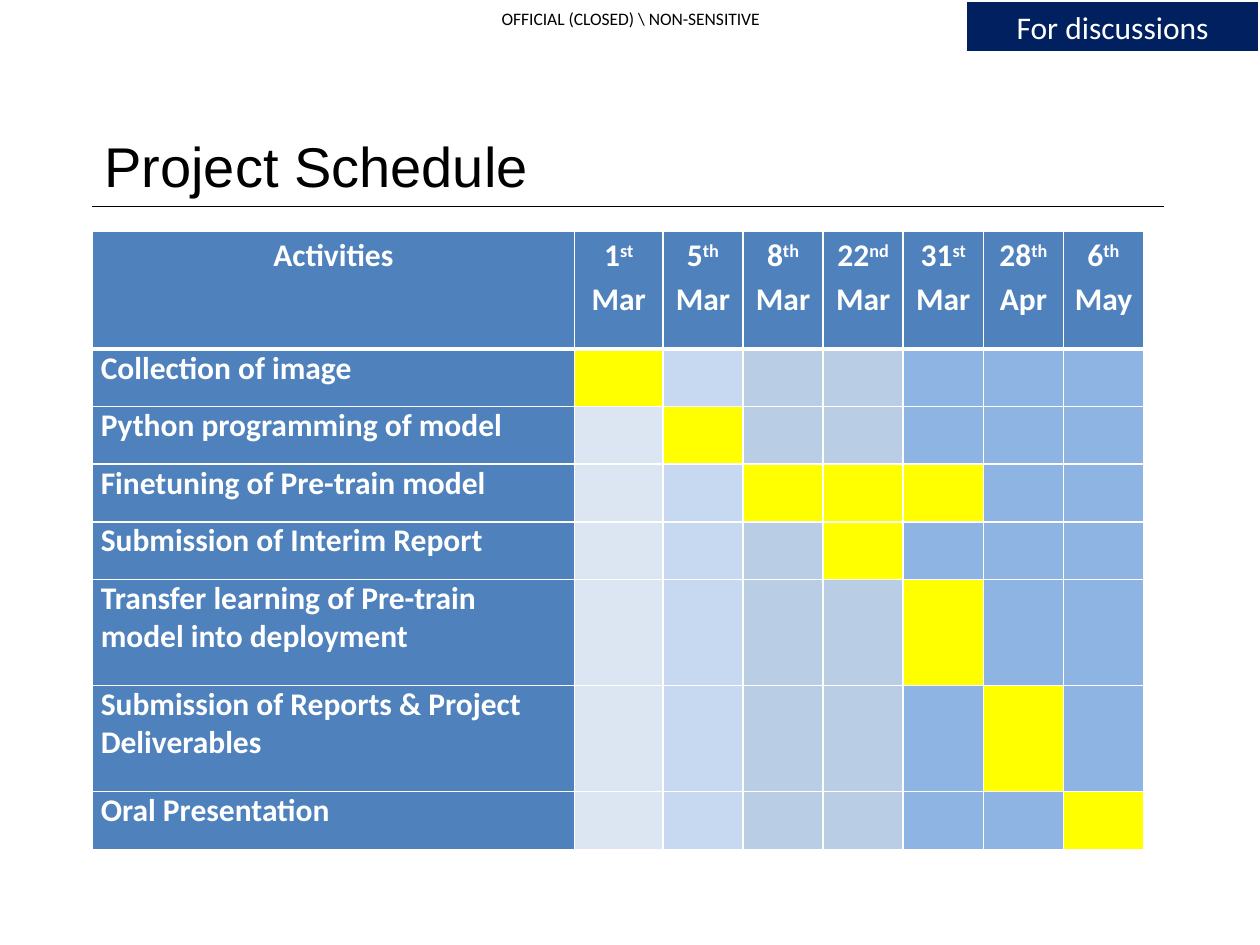
from lxml import etree
from pptx import Presentation
from pptx.dml.color import RGBColor
from pptx.enum.shapes import MSO_CONNECTOR, MSO_SHAPE
from pptx.enum.text import MSO_ANCHOR, PP_ALIGN
from pptx.oxml import parse_xml
from pptx.oxml.ns import nsdecls, qn
from pptx.util import Pt

COLORS = {
    "black": "000000", "white": "FFFFFF", "navy": "002060",
    "header": "4F81BD", "done": "FFFF00",
    "ice": "DCE6F2", "sky": "C6D9F1", "mist": "B9CDE5", "steel": "8EB4E3",
}
DATES = [("1", "st", "Mar"), ("5", "th", "Mar"), ("8", "th", "Mar"),
         ("22", "nd", "Mar"), ("31", "st", "Mar"), ("28", "th", "Apr"),
         ("6", "th", "May")]
DATE_COLORS = ["ice", "sky", "mist", "mist", "steel", "steel", "steel"]
# Activity, indexes of its dates, row height
ACTIVITIES = [
    ("Collection of image", [0], 32.9),
    ("Python programming of model", [1], 32.9),
    ("Finetuning of Pre-train model", [2, 3, 4], 32.9),
    ("Submission of Interim Report", [3], 32.9),
    ("Transfer learning of Pre-train model into deployment", [4], 60.7),
    ("Submission of Reports & Project Deliverables", [5], 60.7),
    ("Oral Presentation", [6], 32.9),
]
HEADER_HEIGHT = 67.5
COLUMN_WIDTHS = [275.8, 50.4] + [45.8] * 6


def rgb(name):
    return RGBColor.from_string(COLORS[name])


class SlideBuilder:
    def __init__(self, slide, font="Calibri", size=18):
        self.slide = slide
        self.font = font
        self.size = size

    def add_run(self, paragraph, text, color="white", size=None, font=None,
                bold=False, baseline=0):
        """Append a run; baseline is the raised height in percent."""
        run = paragraph.add_run()
        run.text = text
        run.font.name = font or self.font
        run.font.size = Pt(size or self.size)
        run.font.bold = bold
        run.font.color.rgb = rgb(color)
        if baseline:
            run._r.get_or_add_rPr().set("baseline", str(baseline * 1000))

    def add_text(self, box, text, align=PP_ALIGN.LEFT, margins=None, **style):
        frame = box.text_frame
        frame.word_wrap = True
        frame.vertical_anchor = MSO_ANCHOR.MIDDLE
        if margins is not None:
            frame.margin_left = frame.margin_right = Pt(margins)
            frame.margin_top = frame.margin_bottom = Pt(margins)
        frame.paragraphs[0].alignment = align
        self.add_run(frame.paragraphs[0], text, **style)

    def add_label(self, x, y, width, height, text, **style):
        box = self.slide.shapes.add_textbox(Pt(x), Pt(y), Pt(width), Pt(height))
        self.add_text(box, text, **style)

    def add_badge(self, x, y, width, height, text):
        badge = self.slide.shapes.add_shape(
            MSO_SHAPE.RECTANGLE, Pt(x), Pt(y), Pt(width), Pt(height))
        badge.shadow.inherit = False
        badge.fill.solid()
        badge.fill.fore_color.rgb = rgb("navy")
        badge.line.color.rgb = rgb("white")
        badge.line.width = Pt(2)
        self.add_text(badge, text, align=PP_ALIGN.CENTER)

    def add_rule(self, x1, x2, y):
        rule = self.slide.shapes.add_connector(
            MSO_CONNECTOR.STRAIGHT, Pt(x1), Pt(y), Pt(x2), Pt(y))
        rule.line.color.rgb = rgb("black")
        rule.line.width = Pt(0.25)
        etree.SubElement(rule._element.spPr, qn("a:effectLst"))

    def style_cell(self, cell, fill, top=1, bottom=1):
        """Set the fill and white borders; top and bottom are line widths."""
        properties = cell._tc.get_or_add_tcPr()
        for side, width in (("L", 1), ("R", 1), ("T", top), ("B", bottom)):
            properties.append(parse_xml(
                f'<a:ln{side} {nsdecls("a")} w="{Pt(width)}"><a:solidFill>'
                f'<a:srgbClr val="{COLORS["white"]}"/></a:solidFill></a:ln{side}>'))
        cell.fill.solid()
        cell.fill.fore_color.rgb = rgb(fill)

    def write_cell(self, cell, parts, align=PP_ALIGN.LEFT, spacing=None):
        """Write (text, baseline) parts as bold runs."""
        cell.margin_left = cell.margin_right = Pt(5)
        cell.margin_top = cell.margin_bottom = 0
        paragraph = cell.text_frame.paragraphs[0]
        paragraph.alignment = align
        paragraph.line_spacing = spacing
        for text, baseline in parts:
            self.add_run(paragraph, text, bold=True, baseline=baseline)

    def add_schedule(self, x, y):
        heights = [HEADER_HEIGHT] + [height for _, _, height in ACTIVITIES]
        table = self.slide.shapes.add_table(
            len(heights), len(COLUMN_WIDTHS), Pt(x), Pt(y),
            Pt(sum(COLUMN_WIDTHS)), Pt(sum(heights))).table
        for column, width in zip(table.columns, COLUMN_WIDTHS):
            column.width = Pt(width)
        for row, height in zip(table.rows, heights):
            row.height = Pt(height)

        headings = [[("Activities", 0)]] + [
            [(day, 0), (suffix, 30), (f" {month}", 0)]
            for day, suffix, month in DATES]
        for column, parts in enumerate(headings):
            cell = table.cell(0, column)
            self.style_cell(cell, "header", bottom=3)
            self.write_cell(cell, parts, PP_ALIGN.CENTER, 1.15)

        for row, (activity, active_dates, _) in enumerate(ACTIVITIES, 1):
            top = 3 if row == 1 else 1
            self.style_cell(table.cell(row, 0), "header", top=top)
            self.write_cell(table.cell(row, 0), [(activity, 0)])
            for date, color in enumerate(DATE_COLORS):
                fill = "done" if date in active_dates else color
                self.style_cell(table.cell(row, date + 1), fill, top=top)


def main():
    presentation = Presentation()
    presentation.slide_width = Pt(720)
    presentation.slide_height = Pt(540)
    builder = SlideBuilder(
        presentation.slides.add_slide(presentation.slide_layouts[6]))
    builder.add_label(273.6, 0, 173.5, 21, "OFFICIAL (CLOSED) \\ NON-SENSITIVE",
                      align=PP_ALIGN.CENTER, margins=0, color="black", size=10)
    builder.add_rule(52.5, 665.3, 118)
    builder.add_badge(551.8, 0.3, 168, 30, "For discussions")
    builder.add_label(52.6, 70.5, 586.8, 47.5, "Project Schedule",
                      color="black", size=32, font="Arial")
    builder.add_schedule(52.6, 132)
    presentation.save("out.pptx")


if __name__ == "__main__":
    main()
